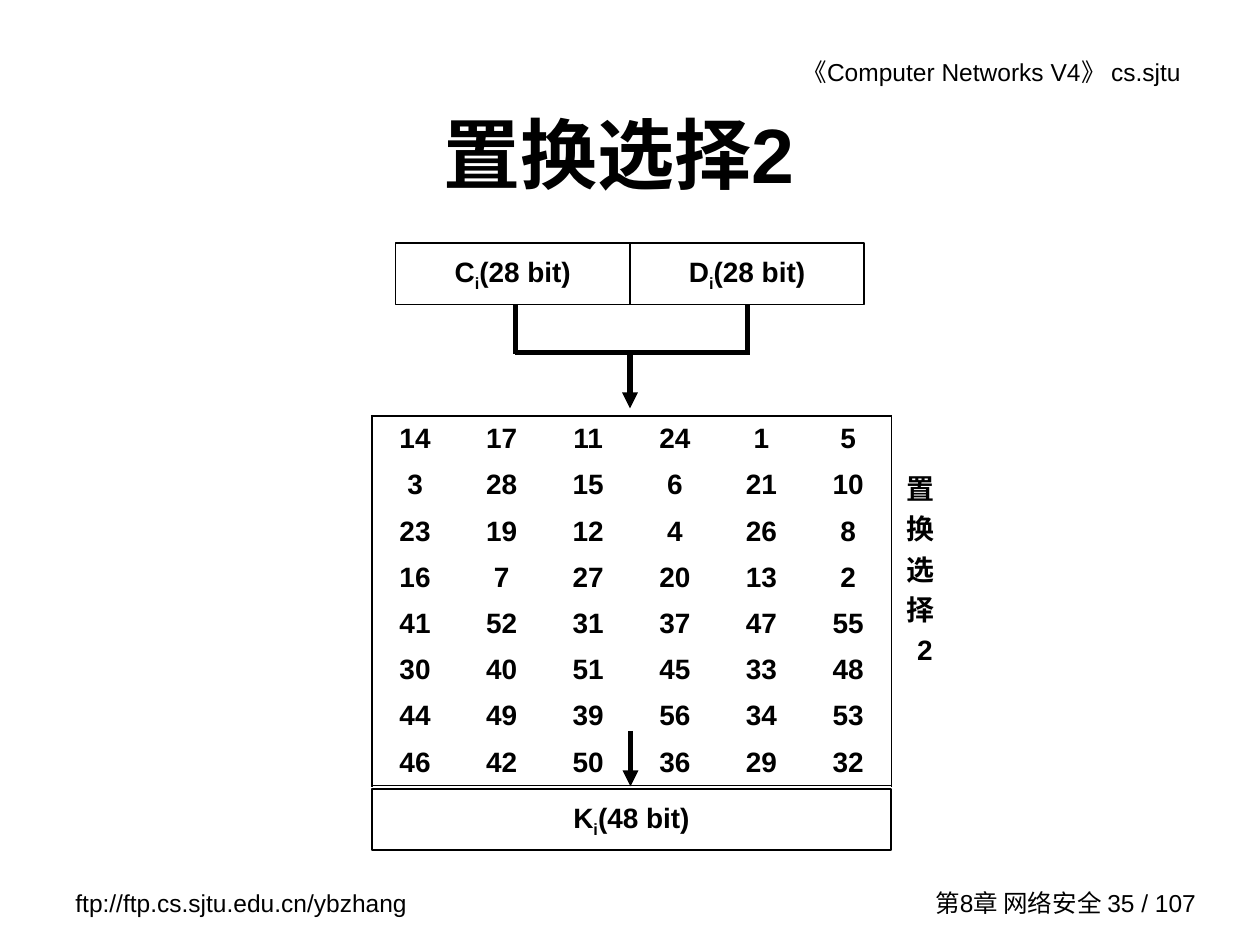
from lxml.etree import SubElement
from pptx import Presentation
from pptx.dml.color import RGBColor
from pptx.enum.shapes import MSO_CONNECTOR, MSO_SHAPE
from pptx.enum.text import MSO_ANCHOR, PP_ALIGN
from pptx.oxml.ns import qn
from pptx.util import Pt

BLACK = RGBColor(0x00, 0x00, 0x00)
PERMUTATION = [
    [14, 17, 11, 24, 1, 5],
    [3, 28, 15, 6, 21, 10],
    [23, 19, 12, 4, 26, 8],
    [16, 7, 27, 20, 13, 2],
    [41, 52, 31, 37, 47, 55],
    [30, 40, 51, 45, 33, 48],
    [44, 49, 39, 56, 34, 53],
    [46, 42, 50, 36, 29, 32],
]
ROWS, COLUMNS = len(PERMUTATION), len(PERMUTATION[0])


def format_text(frame, size, bold, align, anchor):
    frame.word_wrap = True
    frame.vertical_anchor = anchor
    for para in frame.paragraphs:
        para.alignment = align
        for span in para.runs:
            span.font.name = "Arial"
            span.font.size = Pt(size)
            span.font.bold = bold
            span.font.color.rgb = BLACK


def add_border(cell, side, visible):
    """Draw one side of a table cell, or switch it off."""
    line = SubElement(cell._tc.get_or_add_tcPr(), qn(f"a:ln{side}"), w=str(Pt(1.08)))
    if visible:
        fill = SubElement(line, qn("a:solidFill"))
        SubElement(fill, qn("a:srgbClr"), val=str(BLACK))
    else:
        SubElement(line, qn("a:noFill"))


deck = Presentation()
deck.slide_width, deck.slide_height = Pt(720), Pt(540)
slide = deck.slides.add_slide(deck.slide_layouts[5])
shapes = slide.shapes

title = shapes.title
title.left, title.top, title.width, title.height = Pt(54), Pt(48.2), Pt(612), Pt(77.8)
title.text_frame.text = "置换选择2 "
format_text(title.text_frame, 44, True, PP_ALIGN.CENTER, MSO_ANCHOR.MIDDLE)

# Header, footers and the vertical caption; the insets are left and right
captions = [
    ("《Computer Networks V4》 cs.sjtu", 375.8, 28.8, 313.9, 24.5, 7.2, 15,
     14, False, PP_ALIGN.RIGHT, MSO_ANCHOR.TOP),
    ("ftp://ftp.cs.sjtu.edu.cn/ybzhang", 36, 504, 210.2, 24.5, 7.2, 7.2,
     14, False, PP_ALIGN.LEFT, MSO_ANCHOR.TOP),
    ("第8章 网络安全 35 / 107", 517, 504, 173.5, 23.8, 12, 7.2,
     14, False, PP_ALIGN.RIGHT, MSO_ANCHOR.MIDDLE),
    ("置换选择2", 511.2, 262.1, 28.8, 133.9, 7.2, 7.2,
     16, True, PP_ALIGN.RIGHT, MSO_ANCHOR.TOP),
]
for text, left, top, width, height, inset_left, inset_right, *style in captions:
    box = shapes.add_textbox(Pt(left), Pt(top), Pt(width), Pt(height))
    frame = box.text_frame
    frame.text = text
    frame.margin_left, frame.margin_right = Pt(inset_left), Pt(inset_right)
    format_text(frame, *style)
frame.paragraphs[0].line_spacing = 1.2

# Key registers, each with a subscript i
registers = [
    ("C", "(28 bit)", 226.1, 139, 133.9),
    ("D", "(28 bit)", 360, 139, 133.9),
    ("K", "(48 bit)", 212.4, 450.7, 296.9),
]
for letter, bits, left, top, width in registers:
    box = shapes.add_shape(MSO_SHAPE.RECTANGLE, Pt(left), Pt(top), Pt(width), Pt(35))
    box.shadow.inherit = False
    box.fill.background()
    box.line.color.rgb = BLACK
    box.line.width = Pt(1)
    para = box.text_frame.paragraphs[0]
    for part in (letter, "i", bits):
        para.add_run().text = part
    para.runs[1].font._element.set("baseline", "-25000")
    format_text(box.text_frame, 16, True, PP_ALIGN.CENTER, MSO_ANCHOR.MIDDLE)

# Lines that join C and D, and the arrows into the table and into K
lines = [
    (360, 201.6, 360, 233.3, True),
    (294.5, 201.6, 428.4, 201.6, False),
    (294.5, 174.2, 294.5, 202.3, False),
    (427, 174.2, 427, 201.6, False),
    (360.3, 417.6, 360.3, 449.3, True),
]
for *ends, has_arrow in lines:
    line = shapes.add_connector(MSO_CONNECTOR.STRAIGHT, *[Pt(end) for end in ends])
    line.line.color.rgb = BLACK
    line.line.width = Pt(3)
    if has_arrow:
        SubElement(line.line._get_or_add_ln(), qn("a:tailEnd"), type="triangle")
    SubElement(line._element.spPr, qn("a:effectLst"))

frame = shapes.add_table(ROWS, COLUMNS, Pt(212.4), Pt(237.6), Pt(297), Pt(179.2))
table = frame.table
table.first_row = table.horz_banding = False
for column in table.columns:
    column.width = Pt(49.5)
for row in table.rows:
    row.height = Pt(22.4)
for r, numbers in enumerate(PERMUTATION):
    for c, number in enumerate(numbers):
        cell = table.cell(r, c)
        cell.text = str(number)
        cell.margin_left = cell.margin_right = Pt(1.5)
        cell.vertical_anchor = MSO_ANCHOR.MIDDLE
        format_text(cell.text_frame, 16, True, PP_ALIGN.CENTER, None)
        add_border(cell, "L", c == 0)
        add_border(cell, "R", c == COLUMNS - 1)
        add_border(cell, "T", r == 0)
        add_border(cell, "B", r == ROWS - 1)
        cell.fill.background()

deck.save("out.pptx")
